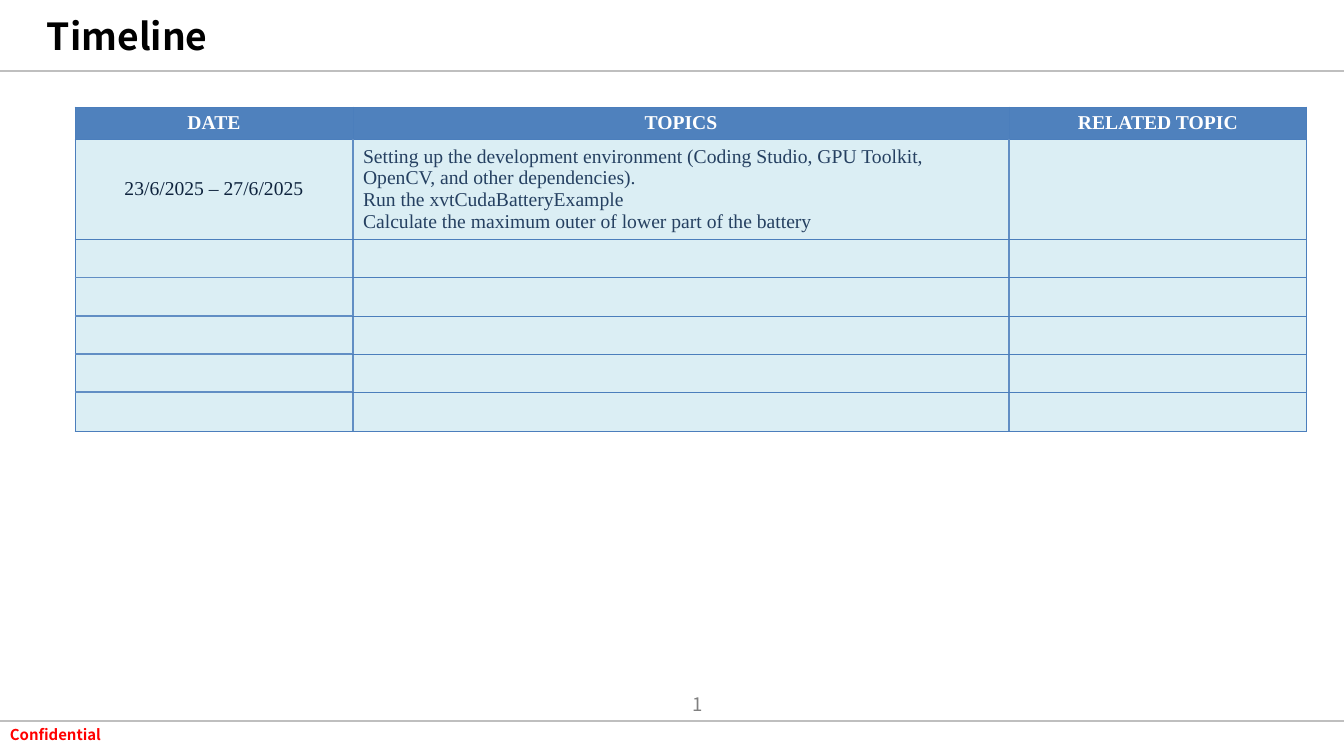
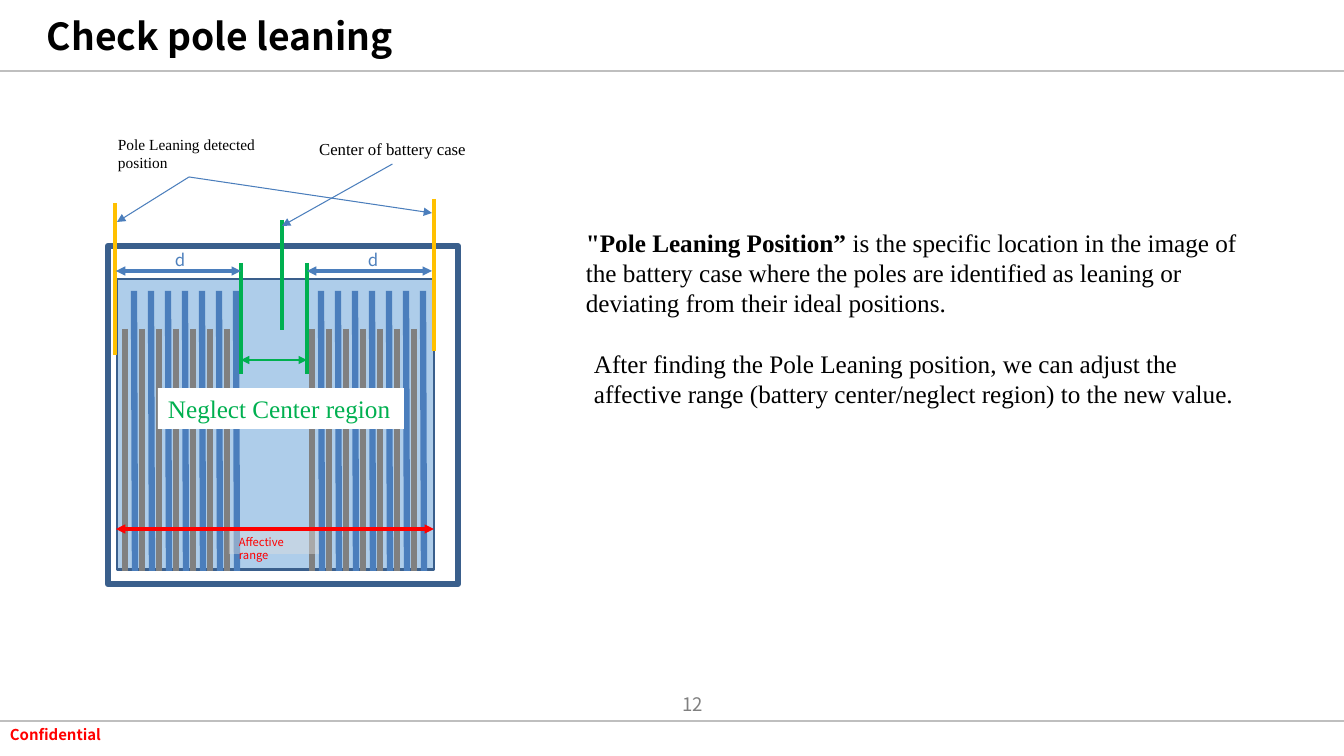
"""Build the timeline slide and the pole leaning slide."""
from itertools import pairwise
from lxml.etree import SubElement
from pptx import Presentation
from pptx.dml.color import RGBColor
from pptx.enum.shapes import MSO_CONNECTOR as Link, MSO_SHAPE as Form
from pptx.enum.text import MSO_ANCHOR as Anchor, PP_ALIGN as Align
from pptx.oxml import parse_xml
from pptx.oxml.ns import nsdecls, qn
from pptx.util import Pt

px = 9071
rgb = RGBColor.from_string
SANS, SERIF = "Noto Sans CJK KR", "Times New Roman"
BLUE, PALE, NAVY, GREY = "4B7EBC", "618EC4", "3A5F8C", "808080"
GREEN, GOLD, RED, BLACK = "00B050", "FFC000", "FF0000", "000000"
HEAD, TAIL = "headEnd", "tailEnd"
BOTH = (HEAD, TAIL)


def write(frame, text, size, color=BLACK, font=SERIF, bold=False, lead="",
          align=Align.LEFT, anchor=Anchor.TOP, wrap=True):
    frame.word_wrap, frame.vertical_anchor = wrap, anchor
    for i, part in enumerate(text.split("\n")):
        para = frame.add_paragraph() if i else frame.paragraphs[0]
        para.alignment = align
        for words, heavy in ((lead, True), (part, bold)):
            if words:
                run = para.add_run()
                run.text = words
                run.font.name, run.font.size = font, Pt(size)
                run.font.bold = heavy
                run.font.color.rgb = rgb(color)


def line(shapes, ends, color, width, tips=()):
    item = shapes.add_connector(Link.STRAIGHT, *[n * px for n in ends])
    item.line.color.rgb = rgb(color)
    item.line.width = Pt(width)
    props = item._element.spPr
    for tip in tips:
        SubElement(props.find(qn("a:ln")), qn("a:" + tip), type="triangle")
    SubElement(props, qn("a:effectLst"))
    return item


deck = Presentation()
deck.slide_width, deck.slide_height = 1344 * px, 756 * px
pages = []
for title, number in (("Timeline", "1"), ("Check pole leaning", "12")):
    shapes = deck.slides.add_slide(deck.slide_layouts[6]).shapes
    pages.append(shapes)
    for y in (71, 721):
        line(shapes, (0, y, 1344, y), "BFBFBF", 1)
    for spot, text, look in (
        ((0, 721, 231, 28), "Confidential",
         dict(size=10.7, color=RED, bold=True)),
        ((637, 684, 76, 40), number,
         dict(size=13.3, color=GREY, align=Align.RIGHT, anchor=Anchor.MIDDLE)),
        ((37, 16, 816, 40), title,
         dict(size=26.6, bold=True, anchor=Anchor.MIDDLE)),
    ):
        box = shapes.add_textbox(*[n * px for n in spot])
        write(box.text_frame, text, font=SANS, **look)
plan, shapes = pages

cols = (75, 353, 1009, 1307)
rows = (107, 139, 236, 274, 313, 351, 389, 428)
table = plan.add_table(7, 3, 75 * px, 107 * px, 1232 * px, 321 * px).table
for col, (a, b) in zip(table.columns, pairwise(cols)):
    col.width = (b - a) * px
for row, (a, b) in zip(table.rows, pairwise(rows)):
    row.height = (b - a) * px
tasks = (
    "Setting up the development environment (Coding Studio, GPU Toolkit, "
    "OpenCV, and other dependencies).\nRun the xvtCudaBatteryExample\n"
    "Calculate the maximum outer of lower part of the battery"
)
words = {
    (0, 0): "DATE", (0, 1): "TOPICS", (0, 2): "RELATED TOPIC",
    (1, 0): "23/6/2025 – 27/6/2025", (1, 1): tasks,
}
for r in range(7):
    for c in range(3):
        cell = table.cell(r, c)
        cell.fill.solid()
        cell.fill.fore_color.rgb = rgb("DBEEF4" if r else "4F81BD")
        cell.vertical_anchor = Anchor.MIDDLE
        cell.margin_top = cell.margin_bottom = 3 * px
        if (r, c) in words:
            ink = "FFFFFF" if r == 0 else "254061" if c else "0F243E"
            write(cell.text_frame, words[r, c], 14, ink, bold=r == 0,
                  align=Align.LEFT if r and c else Align.CENTER)
        soft = {"L": r and c > 0, "R": r and c < 2,
                "T": c == 0 and r > 2, "B": c == 0 and 1 < r < 6}
        for i, side in enumerate("LRTB"):
            tone, size = (PALE, 12700) if soft[side] else (BLUE, 9525)
            cell._tc.get_or_add_tcPr().insert(i, parse_xml(
                f'<a:ln{side} {nsdecls("a")} w="{size}"><a:solidFill>'
                f'<a:srgbClr val="{tone}"/></a:solidFill></a:ln{side}>'))

for spot, fill, width in (
    ((108, 246, 350, 338), None, 4.5),
    ((117, 279, 317, 291), "5B9BD5", 2),
):
    case = shapes.add_shape(Form.RECTANGLE, *[n * px for n in spot])
    case.shadow.inherit = False
    case.line.color.rgb = rgb(NAVY)
    case.line.width = Pt(width)
    if fill:
        case.fill.solid()
        case.fill.fore_color.rgb = rgb(fill)
        tint = case._element.spPr.find(".//" + qn("a:srgbClr"))
        SubElement(tint, qn("a:alpha"), val="49000")
    else:
        case.fill.background()

for left in (125, 312):
    stack = shapes.add_group_shape().shapes
    for x in range(left, left + 7 * 17, 17):
        line(stack, (x + 9, 291, x + 10, 571), BLUE, 4.5)
        line(stack, (x, 329, x, 571), GREY, 4.5)

for spot, text, fill, alpha, look in (
    ((158, 388, 246, 41), "Neglect Center region", "FFFFFF", 100,
     dict(size=18, color=GREEN, wrap=False)),
    ((229, 530, 90, 24), "Affective range", "DDDDDD", 45,
     dict(size=8, color=RED, font=SANS)),
):
    tag = shapes.add_shape(Form.RECTANGLE, *[n * px for n in spot])
    tag.shadow.inherit = False
    tag.line.fill.background()
    tag.fill.solid()
    tag.fill.fore_color.rgb = rgb(fill)
    tint = tag._element.spPr.find(".//" + qn("a:srgbClr"))
    SubElement(tint, qn("a:alpha"), val=str(alpha * 1000))
    write(tag.text_frame, text, **look)

for ends, color, width, tips in (
    ((282, 220, 282, 330), GREEN, 2.25, ()),
    ((307, 263, 307, 374), GREEN, 2.25, ()),
    ((241, 263, 241, 374), GREEN, 2.25, ()),
    ((241, 360, 307, 360), GREEN, 0.75, BOTH),
    ((434, 199, 434, 351), GOLD, 3, ()),
    ((115, 203, 115, 355), GOLD, 3, ()),
    ((116, 271, 241, 271), BLUE, 2.25, BOTH),
    ((307, 271, 432, 271), BLUE, 2.25, BOTH),
    ((116, 529, 434, 529), RED, 2.25, BOTH),
):
    line(shapes, ends, color, width, tips)

mark = dict(size=12, color="4F81BD", font=SANS, wrap=False)
for spot, text, look, aims in (
    ((165, 245, 30, 30), "d", mark, ()),
    ((358, 245, 30, 30), "d", mark, ()),
    ((108, 130, 162, 47), "Pole Leaning detected position",
     dict(size=11), ((117, 222), (432, 213))),
    ((297, 134, 191, 30), "Center of battery case",
     dict(size=12, align=Align.CENTER), ((282, 226),)),
    ((576, 222, 680, 102),
     " is the specific location in the image of the battery case where the "
     "poles are identified as leaning or deviating from their ideal positions.",
     dict(size=18, lead='"Pole Leaning Position”'), ()),
    ((584, 343, 681, 72),
     "After finding the Pole Leaning position, we can adjust the affective "
     "range (battery center/neglect region) to the new value.",
     dict(size=18), ()),
):
    box = shapes.add_textbox(*[n * px for n in spot])
    write(box.text_frame, text, **look)
    for aim in aims:
        line(shapes, (*spot[:2], *aim), BLUE, 0.75, (TAIL,)).begin_connect(box, 2)

deck.save("out.pptx")
